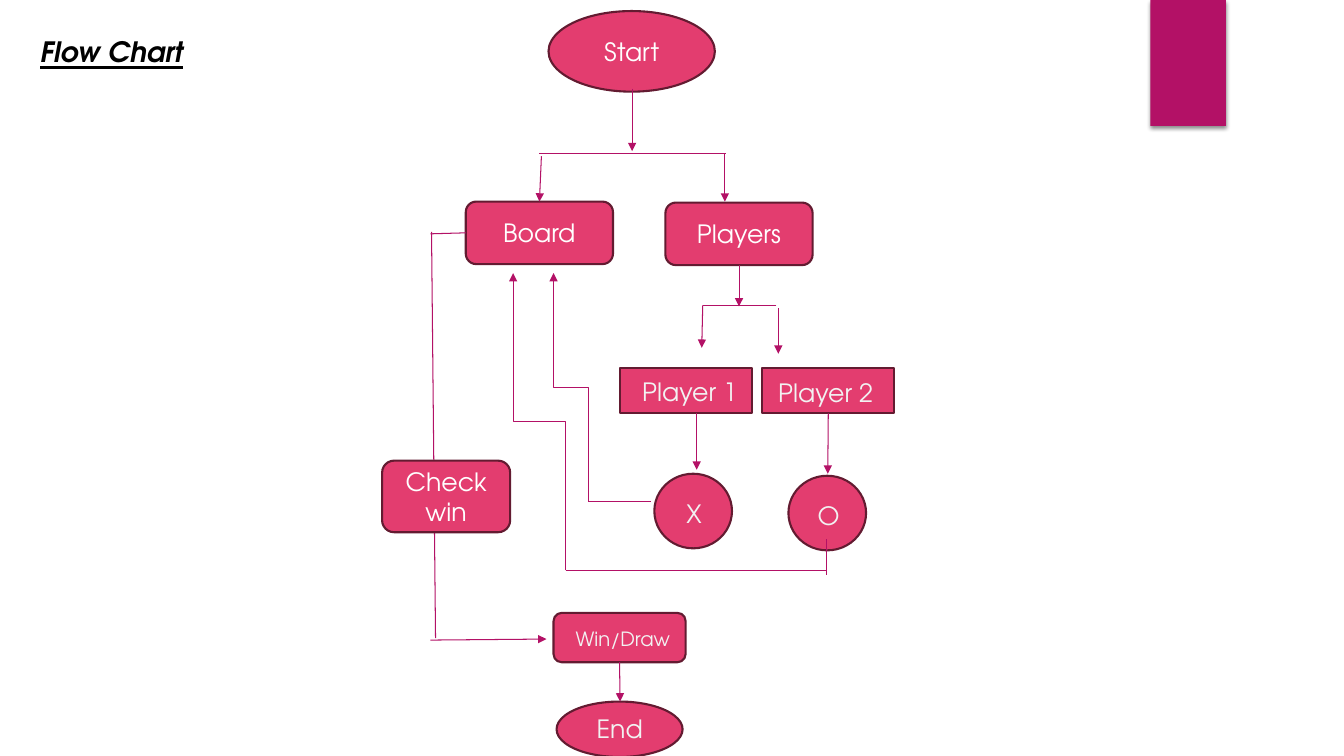
from lxml import etree
from pptx import Presentation
from pptx.dml.color import RGBColor
from pptx.enum.shapes import MSO_CONNECTOR as Link, MSO_SHAPE as Shape
from pptx.enum.text import MSO_ANCHOR as Anchor, MSO_AUTO_SIZE as Fit, PP_ALIGN as Align
from pptx.oxml.ns import qn
from pptx.util import Inches, Pt

FACE = "TeX Gyre Adventor"
PINK = RGBColor(0xE3, 0x3D, 0x6F)
EDGE = RGBColor(0x63, 0x1B, 0x31)
PLUM = RGBColor(0xB3, 0x11, 0x66)
WHITE = RGBColor(0xFF, 0xFF, 0xFF)
PALE = RGBColor(0xF2, 0xF2, 0xF2)
BLACK = RGBColor(0, 0, 0)


def add_banner(slide):
    banner = slide.shapes.add_shape(
        Shape.RECTANGLE, Inches(11.41), 0, Inches(0.75), Inches(1.25))
    banner.fill.solid()
    banner.fill.fore_color.rgb = PLUM
    banner.line.fill.background()
    banner.shadow.inherit = False
    effects = banner._element.spPr.find(qn("a:effectLst"))
    shade = etree.SubElement(
        effects, qn("a:outerShdw"), blurRad=str(Pt(3)), dist=str(Pt(2)),
        dir="5400000", algn="ctr", rotWithShape="0")
    tint = etree.SubElement(shade, qn("a:srgbClr"), val="000000")
    etree.SubElement(tint, qn("a:alpha"), val="45000")


def add_node(slide, kind, left, top, width, height, text=""):
    node = slide.shapes.add_shape(
        kind, Inches(left), Inches(top), Inches(width), Inches(height))
    node.shadow.inherit = False
    node.fill.solid()
    node.fill.fore_color.rgb = PINK
    node.line.color.rgb = EDGE
    node.line.width = Pt(1.5)
    if text:
        frame = node.text_frame
        frame.word_wrap = True
        frame.vertical_anchor = Anchor.MIDDLE
        style_text(frame, text, 18, WHITE).alignment = Align.CENTER
    return node


def style_text(frame, text, size, color):
    para = frame.paragraphs[0]
    para.text = text
    font = para.font
    font.name = FACE
    font.size = Pt(size)
    font.color.rgb = color
    return para


def add_label(slide, left, top, width, height, text, size=18, color=PALE):
    box = slide.shapes.add_textbox(
        Inches(left), Inches(top), Inches(width), Inches(height))
    frame = box.text_frame
    frame.word_wrap = True
    frame.auto_size = Fit.SHAPE_TO_FIT_TEXT
    return style_text(frame, text, size, color)


def add_wire(slide, start, end, arrow=False, kind=Link.STRAIGHT):
    wire = slide.shapes.add_connector(
        kind, *(Inches(value) for value in (*start, *end)))
    wire.line.color.rgb = PLUM
    wire.line.width = Pt(0.75)
    if arrow:
        etree.SubElement(wire.line._get_or_add_ln(), qn("a:tailEnd"), type="triangle")
    etree.SubElement(wire._element.spPr, qn("a:effectLst"))
    return wire


def add_riser(slide, start, end):
    mid_x, mid_y = (start[0] + end[0]) / 2, (start[1] + end[1]) / 2
    half_x, half_y = (start[0] - end[0]) / 2, (start[1] - end[1]) / 2
    wire = add_wire(
        slide, (mid_x - half_y, mid_y + half_x),
        (mid_x + half_y, mid_y - half_x), True, Link.ELBOW)
    wire._element.spPr.find(qn("a:xfrm")).set("rot", "16200000")


def main():
    deck = Presentation()
    deck.slide_width = Inches(13.33)
    deck.slide_height = Inches(7.5)
    slide = deck.slides.add_slide(deck.slide_layouts[6])

    add_banner(slide)
    title = add_label(slide, 0.3, 0.29, 2.04, 0.44, "Flow Chart", 20, BLACK)
    title.font.bold = title.font.italic = title.font.underline = True

    add_node(slide, Shape.OVAL, 5.44, 0.11, 1.65, 0.8, "Start")
    board = add_node(slide, Shape.ROUNDED_RECTANGLE, 4.62, 2, 1.46, 0.62, "Board")
    players = add_node(slide, Shape.ROUNDED_RECTANGLE, 6.6, 2.01, 1.46, 0.62, "Players")
    add_node(slide, Shape.RECTANGLE, 6.15, 3.65, 1.31, 0.45)
    second = add_node(slide, Shape.RECTANGLE, 7.56, 3.65, 1.31, 0.45)
    add_node(slide, Shape.OVAL, 6.49, 4.7, 0.77, 0.74)
    add_node(slide, Shape.OVAL, 7.82, 4.72, 0.77, 0.74)
    result = add_node(slide, Shape.ROUNDED_RECTANGLE, 5.49, 6.08, 1.31, 0.49)
    add_node(slide, Shape.OVAL, 5.52, 6.96, 1.25, 0.55)

    add_label(slide, 6.27, 3.68, 1.22, 0.4, "Player 1")
    add_label(slide, 7.62, 3.69, 1.26, 0.4, "Player 2")
    add_label(slide, 6.71, 4.89, 0.45, 0.4, "X")
    add_label(slide, 8.01, 4.91, 0.48, 0.4, "O")
    add_label(slide, 5.61, 6.17, 1.25, 0.34, "Win/Draw", 14)
    add_label(slide, 5.82, 7.03, 0.92, 0.4, "End")

    for start, end in (
        ((5.35, 1.52), (7.2, 1.52)),
        ((7.7, 3.03), (6.97, 3.03)),
        ((5.84, 4.98), (6.46, 4.98)),
        ((5.61, 5.66), (8.2, 5.66)),
        ((8.2, 5.35), (8.2, 5.7)),
        ((4.28, 2.3), (4.32, 6.33)),
    ):
        add_wire(slide, start, end)
    for start, end in (
        ((6.27, 0.88), (6.27, 1.5)),
        ((7.19, 1.52), (7.19, 2)),
        ((7.72, 3.06), (7.72, 3.51)),
        ((6.97, 3.03), (6.96, 3.45)),
        ((6.91, 4.1), (6.91, 4.66)),
        ((4.27, 6.35), (5.42, 6.34)),
    ):
        add_wire(slide, start, end, True)

    add_wire(slide, (5.37, 1.55), (5.35, 2), True).end_connect(board, 0)
    add_wire(slide, (4.27, 2.32), (4.62, 2.31)).end_connect(board, 1)
    for node, start, end in (
        (players, (7.33, 2.63), (7.33, 3.04)),
        (second, (8.21, 4.1), (8.21, 4.7)),
        (result, (6.15, 6.57), (6.15, 6.96)),
    ):
        add_wire(slide, start, end, True).begin_connect(node, 2)

    add_riser(slide, (5.84, 4.98), (5.49, 2.71))
    add_riser(slide, (5.61, 5.66), (5.09, 2.71))
    add_node(slide, Shape.ROUNDED_RECTANGLE, 3.79, 4.57, 1.27, 0.71, "Check win")
    deck.save("out.pptx")


if __name__ == "__main__":
    main()
